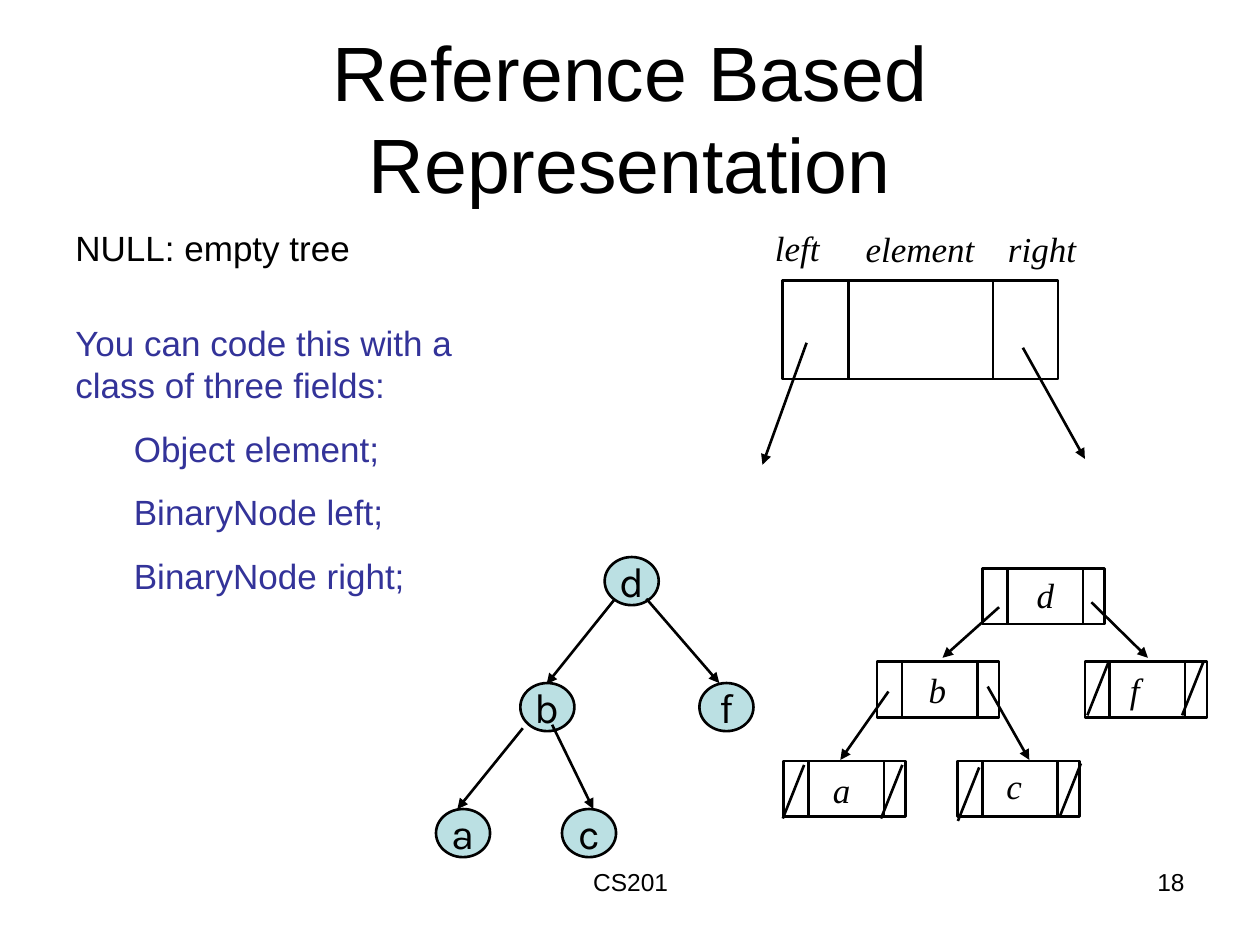
from lxml import etree
from pptx import Presentation
from pptx.dml.color import RGBColor
from pptx.enum.shapes import MSO_CONNECTOR, MSO_SHAPE
from pptx.enum.text import MSO_ANCHOR, MSO_AUTO_SIZE, PP_ALIGN
from pptx.oxml.ns import qn
from pptx.util import Cm, Pt

BLACK = RGBColor(0x00, 0x00, 0x00)
INDIGO = RGBColor(0x33, 0x33, 0x99)
PALE_TEAL = RGBColor(0xBB, 0xE0, 0xE3)
LEFT, CENTER, RIGHT = PP_ALIGN.LEFT, PP_ALIGN.CENTER, PP_ALIGN.RIGHT
MIDDLE = MSO_ANCHOR.MIDDLE
GROW = MSO_AUTO_SIZE.SHAPE_TO_FIT_TEXT
RECTANGLE, OVAL = MSO_SHAPE.RECTANGLE, MSO_SHAPE.OVAL
STRAIGHT = MSO_CONNECTOR.STRAIGHT
LINE_WIDTH = Pt(1.5)
SERIF = "Times New Roman"

prs = Presentation()
prs.slide_width, prs.slide_height = Cm(25.4), Cm(19.05)
shapes = prs.slides.add_slide(prs.slide_layouts[6]).shapes


def add_text(text, x, y, width, height, size=20, font="Arial", color=BLACK,
             align=LEFT, wrap=True):
    box = shapes.add_textbox(Cm(x), Cm(y), Cm(width), Cm(height))
    frame = box.text_frame
    frame.text = text
    frame.word_wrap = wrap
    if not wrap:
        frame.auto_size = GROW
    for paragraph in frame.paragraphs:
        paragraph.alignment = align
        for run in paragraph.runs:
            run.font.name = font
            run.font.size = Pt(size)
            run.font.color.rgb = color
            run.font.italic = font == SERIF
    return frame


def add_line(x1, y1, x2, y2, arrow=False):
    connector = shapes.add_connector(STRAIGHT, Cm(x1), Cm(y1), Cm(x2), Cm(y2))
    connector.line.color.rgb = BLACK
    connector.line.width = LINE_WIDTH
    if arrow:
        line_xml = connector.line._get_or_add_ln()
        etree.SubElement(line_xml, qn("a:tailEnd"), type="triangle")
    etree.SubElement(connector._element.spPr, qn("a:effectLst"))


# Title, footer and text
title = add_text("Reference Based Representation", 1.27, 0.76, 22.86, 3.18,
                 size=44, align=CENTER)
title.vertical_anchor = MIDDLE
add_text("CS201", 8.69, 17.35, 8.05, 1.32, size=14, align=CENTER)
add_text("18", 18.21, 17.35, 5.92, 1.32, size=14, align=RIGHT)
add_text("NULL: empty tree", 1.27, 4.45, 22.86, 1.2)

class_fields = add_text(
    "You can code this with a class of three fields:\n"
    "Object element;\nBinaryNode left;\nBinaryNode right;",
    1.27, 6.35, 8.69, 5.82, color=INDIGO)
for field in class_fields.paragraphs[1:]:
    field.space_before = Pt(12.5)
    field._p.get_or_add_pPr().set("marL", str(Cm(1.18)))

# Node records: x, y, width, height, divider offsets
RECORD_WIDTH, RECORD_HEIGHT = 2.46, 1.12
SMALL_DIVIDERS = (0.5, 2.02)
small_records = [(19.81, 11.46), (17.68, 13.34), (21.87, 13.34),
                 (15.8, 15.34), (19.3, 15.34)]
records = [(15.77, 5.66, 5.56, 1.98, (1.33, 4.25))]
records += [(x, y, RECORD_WIDTH, RECORD_HEIGHT, SMALL_DIVIDERS)
            for x, y in small_records]
for x, y, width, height, dividers in records:
    record = shapes.add_shape(RECTANGLE, Cm(x), Cm(y), Cm(width), Cm(height))
    record.shadow.inherit = False
    record.fill.background()
    record.line.color.rgb = BLACK
    record.line.width = LINE_WIDTH
    for offset in dividers:
        add_line(x + offset, y, x + offset, y + height)

record_labels = [
    ("left", 15.37, 4.45, 1.5),
    ("element", 17.2, 4.47, 2.8),
    ("right", 20.07, 4.47, 2),
    ("d", 20.65, 11.43, 0.9),
    ("b", 18.47, 13.36, 0.9),
    ("f", 22.53, 13.36, 0.75),
    ("a", 16.54, 15.37, 0.9),
    ("c", 20.04, 15.29, 0.85),
]
for label, x, y, width in record_labels:
    add_text(label, x, y, width, 1.12, font=SERIF, wrap=False)

# Slashes mark the empty references of the leaves
slash_tops = [(16.21, 15.42), (18.19, 15.42), (19.74, 15.47),
              (21.79, 15.39), (22.35, 13.34), (24.26, 13.34)]
for x, y in slash_tops:
    add_line(x, y, x - 0.43, y + 1.08)

# Tree of circles
tree_nodes = {
    "d": (12.19, 11.23),
    "b": (10.49, 13.77),
    "f": (14.1, 13.77),
    "a": (8.79, 16.31),
    "c": (11.33, 16.31),
}
for letter, (x, y) in tree_nodes.items():
    node = shapes.add_shape(OVAL, Cm(x), Cm(y), Cm(1.09), Cm(0.97))
    node.shadow.inherit = False
    node.fill.solid()
    node.fill.fore_color.rgb = PALE_TEAL
    node.line.color.rgb = BLACK
    node.line.width = LINE_WIDTH
    frame = node.text_frame
    frame.text = letter
    frame.word_wrap = False
    frame.vertical_anchor = MIDDLE
    frame.paragraphs[0].alignment = CENTER
    font = frame.paragraphs[0].runs[0].font
    font.name, font.size = "Karla", Pt(24)
    font.color.rgb = BLACK

arrows = [
    # Single record
    (16.26, 6.91, 15.37, 9.37),
    (20.62, 7.01, 21.87, 9.25),
    # Tree of circles
    (12.4, 12.07, 11.02, 13.79),
    (13.03, 12.07, 14.5, 13.77),
    (10.54, 14.68, 9.22, 16.31),
    (11.13, 14.61, 11.96, 16.31),
    # Linked records
    (20.14, 12.24, 19, 13.26),
    (22, 12.14, 23.14, 13.26),
    (17.91, 13.94, 16.94, 15.32),
    (19.91, 13.84, 20.75, 15.32),
]
for ends in arrows:
    add_line(*ends, arrow=True)

prs.save("out.pptx")
